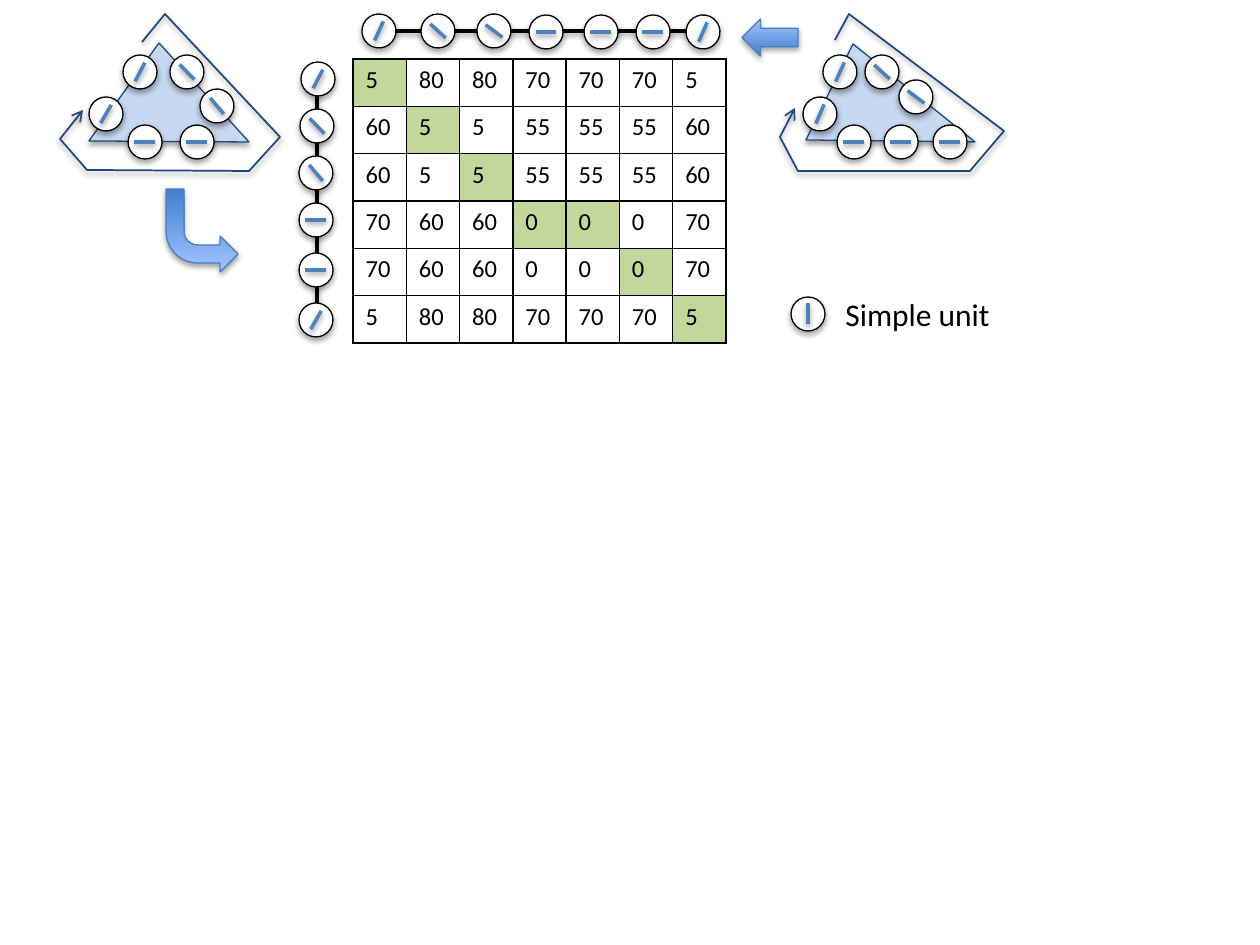
"""Build a slide comparing two triangles through a table of angle differences."""
import math

from lxml import etree
from pptx import Presentation
from pptx.dml.color import RGBColor
from pptx.enum.shapes import MSO_CONNECTOR, MSO_SHAPE
from pptx.enum.text import MSO_AUTO_SIZE
from pptx.oxml.ns import qn
from pptx.util import Emu, Pt

ELLIPSE = MSO_SHAPE.OVAL
BENT_ARROW = MSO_SHAPE.BENT_ARROW
LEFT_ARROW = MSO_SHAPE.LEFT_ARROW
STRAIGHT = MSO_CONNECTOR.STRAIGHT
FIT_SHAPE = MSO_AUTO_SIZE.SHAPE_TO_FIT_TEXT

BLACK = RGBColor(0x00, 0x00, 0x00)
WHITE = RGBColor(0xFF, 0xFF, 0xFF)
NAVY = RGBColor(0x1F, 0x49, 0x7D)
BLUE = RGBColor(0x4F, 0x81, 0xBD)
PALE_BLUE = RGBColor(0xC6, 0xD9, 0xF1)
GREEN = RGBColor(0xC3, 0xD6, 0x9B)
ARROW_DARK = RGBColor(0x3F, 0x80, 0xCE)
ARROW_LIGHT = RGBColor(0xA4, 0xC4, 0xFF)
ARROW_LINE = RGBColor(0x4B, 0x7E, 0xBC)

EMU_PER_PX = 914400 / 126
UNIT_SIZE = 34
TICK_RADIUS = 10.5

RIGHT_UNITS = [(840, 72, 24.6), (820, 114, 23.6), (882, 72, 312.4), (916, 97, 306.7),
               (854, 142, 90), (901, 142, 90), (950, 142, 90)]
LEFT_UNITS = [(140, 72, 27.7), (106, 114, 30.2), (145, 142, 90), (197, 142, 90),
              (187, 72, 315.6), (217, 106, 319.5)]
ROW_UNITS = [(318, 79, 27.7), (317, 126, 315.6), (316, 173, 319.5), (316, 220, 90),
             (316, 270, 90), (316, 320, 30.2)]
COLUMN_UNITS = [(379, 31, 24.6), (438, 31, 312.4), (494, 31, 306.7), (546, 32, 90),
                (601, 32, 90), (653, 32, 90), (703, 32, 23.6)]

RIGHT_TRIANGLE = [(853, 44), (806, 140), (975, 142)]
RIGHT_ROUTE = [(835, 40), (849, 14), (1004, 131), (970, 171), (798, 171), (780, 137), (795, 108)]
LEFT_TRIANGLE = [(159, 43), (89, 141), (249, 142)]
LEFT_ROUTE = [(142, 42), (165, 14), (280, 137), (249, 171), (87, 170), (60, 139), (83, 110)]

DIFFERENCES = [
    [5, 80, 80, 70, 70, 70, 5],
    [60, 5, 5, 55, 55, 55, 60],
    [60, 5, 5, 55, 55, 55, 60],
    [70, 60, 60, 0, 0, 0, 70],
    [70, 60, 60, 0, 0, 0, 70],
    [5, 80, 80, 70, 70, 70, 5],
]
MATCHES = {(0, 0), (1, 1), (2, 2), (3, 3), (3, 4), (4, 5), (5, 6)}


def px(*lengths):
    return [Emu(round(length * EMU_PER_PX)) for length in lengths]


class Drawing:
    """Draws styled elements on the current slide."""

    def __init__(self, slide, font="Calibri"):
        self.slide = slide
        self.shapes = slide.shapes
        self.font = font

    def outline(self, shape, color, width, opacity=35, distance=23000):
        shape.line.color.rgb = color
        shape.line.width = Pt(width)
        effects = etree.SubElement(shape.element.spPr, qn("a:effectLst"))
        shadow = etree.SubElement(effects, qn("a:outerShdw"), blurRad="40000",
                                  dist=str(distance), dir="5400000", rotWithShape="0")
        tint = etree.SubElement(shadow, qn("a:srgbClr"), val=str(BLACK))
        etree.SubElement(tint, qn("a:alpha"), val=str(opacity * 1000))

    def line(self, start, end, color):
        connector = self.shapes.add_connector(STRAIGHT, *px(*start, *end))
        self.outline(connector, color, 2, 38, 20000)

    def unit(self, x, y, angle):
        half = UNIT_SIZE // 2
        circle = self.shapes.add_shape(ELLIPSE, *px(x - half, y - half, UNIT_SIZE, UNIT_SIZE))
        circle.rotation = angle
        circle.fill.solid()
        circle.fill.fore_color.rgb = WHITE
        self.outline(circle, BLACK, 0.75)
        dx = TICK_RADIUS * math.sin(math.radians(angle))
        dy = -TICK_RADIUS * math.cos(math.radians(angle))
        self.line((x + dx, y + dy), (x - dx, y - dy), BLUE)

    def units(self, places):
        for place in places:
            self.unit(*place)

    def polygon(self, points, close):
        builder = self.shapes.build_freeform(*points[0], scale=EMU_PER_PX)
        builder.add_line_segments(points[1:], close=close)
        return builder.convert_to_shape()

    def triangle(self, points):
        shape = self.polygon(points, True)
        shape.fill.solid()
        shape.fill.fore_color.rgb = PALE_BLUE
        self.outline(shape, NAVY, 0.75)

    def route(self, points):
        shape = self.polygon(points, False)
        shape.fill.background()
        self.outline(shape, NAVY, 1, 38, 20000)
        line = shape.element.spPr.find(qn("a:ln"))
        etree.SubElement(line, qn("a:tailEnd"), type="arrow")

    def block_arrow(self, kind, box):
        shape = self.shapes.add_shape(kind, *px(*box))
        shape.fill.gradient()
        shape.fill.gradient_angle = 90
        for stop, color in zip(shape.fill.gradient_stops, (ARROW_DARK, ARROW_LIGHT)):
            stop.color.rgb = color
        self.outline(shape, ARROW_LINE, 0.75)
        return shape

    def set_text(self, text_frame, text, size):
        text_frame.text = text
        font = text_frame.paragraphs[0].runs[0].font
        font.name = self.font
        font.size = Pt(size)
        font.color.rgb = BLACK

    def label(self, text, box, size):
        text_frame = self.shapes.add_textbox(*px(*box)).text_frame
        text_frame.word_wrap = False
        text_frame.auto_size = FIT_SHAPE
        self.set_text(text_frame, text, size)

    def border(self, cell):
        properties = cell._tc.get_or_add_tcPr()
        for side in ("lnL", "lnR", "lnT", "lnB"):
            edge = etree.SubElement(properties, qn(f"a:{side}"), w=str(Pt(1)))
            fill = etree.SubElement(edge, qn("a:solidFill"))
            etree.SubElement(fill, qn("a:srgbClr"), val=str(BLACK))

    def table(self, rows, matches, box):
        table = self.shapes.add_table(len(rows), len(rows[0]), *px(*box)).table
        table.first_row = False
        table.horz_banding = False
        for i, row in enumerate(rows):
            for j, value in enumerate(row):
                cell = table.cell(i, j)
                self.set_text(cell.text_frame, str(value), 14)
                self.border(cell)
                if (i, j) in matches:
                    cell.fill.solid()
                    cell.fill.fore_color.rgb = GREEN
                else:
                    cell.fill.background()


def main():
    presentation = Presentation()
    presentation.slide_width, presentation.slide_height = px(1260, 945)
    drawing = Drawing(presentation.slides.add_slide(presentation.slide_layouts[6]))

    drawing.unit(808, 314, 0)
    drawing.label("Simple unit", (833, 289, 171, 50), 18)

    for triangle, units, route in ((RIGHT_TRIANGLE, RIGHT_UNITS, RIGHT_ROUTE),
                                   (LEFT_TRIANGLE, LEFT_UNITS, LEFT_ROUTE)):
        drawing.triangle(triangle)
        drawing.units(units)
        drawing.route(route)

    for start, end, units in (((317, 78), (317, 321), ROW_UNITS),
                              ((368, 31), (711, 31), COLUMN_UNITS)):
        drawing.line(start, end, BLACK)
        drawing.units(units)

    drawing.table(DIFFERENCES, MATCHES, (353, 59, 373, 284))

    bent_arrow = drawing.block_arrow(BENT_ARROW, (166, 189, 72, 83))
    bent_arrow.rotation = 180
    bent_arrow.element.spPr.find(qn("a:xfrm")).set("flipH", "1")
    drawing.block_arrow(LEFT_ARROW, (742, 19, 56, 37))

    presentation.save("out.pptx")


if __name__ == "__main__":
    main()
